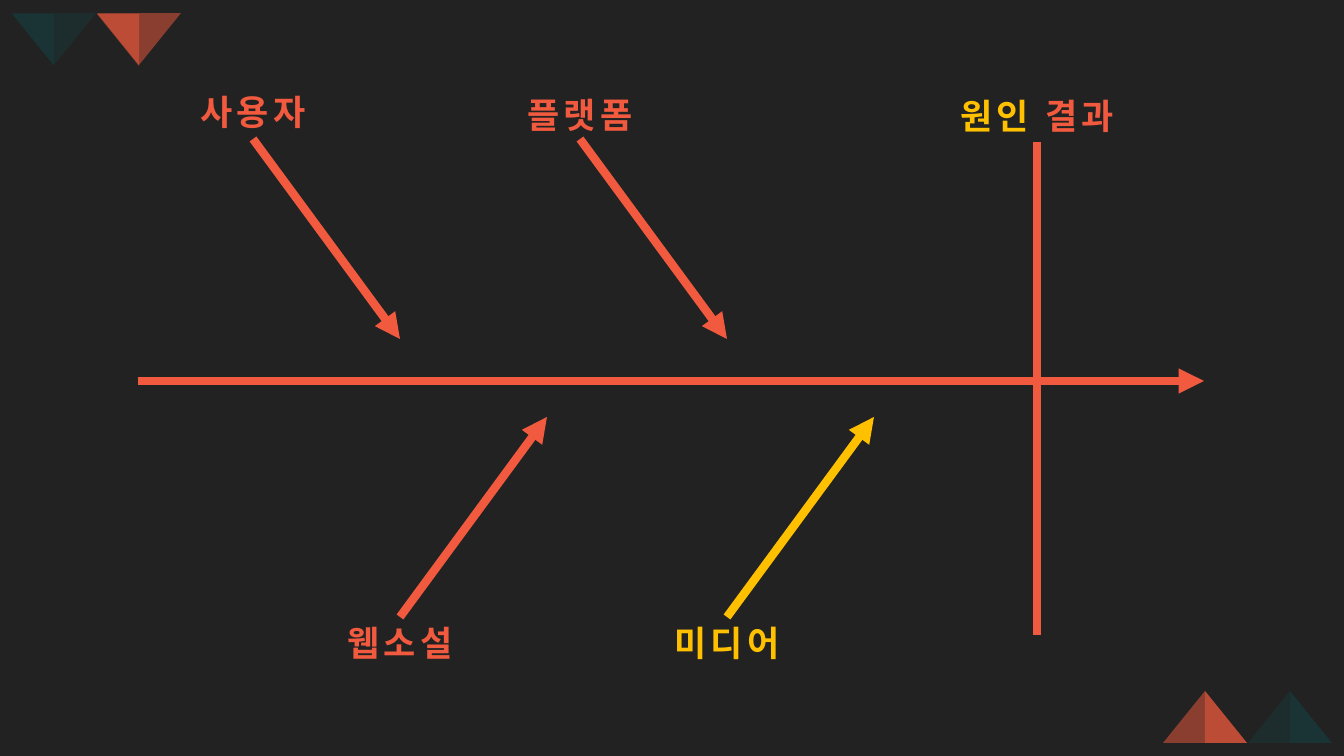
import dataclasses

import pptx
import pptx.dml.color
import pptx.enum.shapes
import pptx.enum.text
import pptx.oxml.ns
import pptx.oxml.xmlchemy
import pptx.util

SLIDE_WIDTH, SLIDE_HEIGHT = 1344, 756
EMU_PER_PX = 12192000 / SLIDE_WIDTH
SHAPES = pptx.enum.shapes.MSO_SHAPE


@dataclasses.dataclass(frozen=True)
class Theme:
    background: str = "222222"
    coral: str = "F15A3E"
    amber: str = "FFC000"
    teal: str = "193739"
    font: str = "Roboto"
    label_size: int = 25
    letter_spacing: int = 3
    line_width: int = 6


THEME = Theme()


def px(*lengths):
    return [pptx.util.Emu(round(length * EMU_PER_PX)) for length in lengths]


def rgb(code):
    return pptx.dml.color.RGBColor.from_string(code)


def add_xml(parent, tag, **attributes):
    element = pptx.oxml.xmlchemy.OxmlElement(tag)
    for name, value in attributes.items():
        element.set(name, str(value))
    parent.append(element)


def set_attributes(target, values):
    for name, value in values.items():
        setattr(target, name, value)


def add_triangle(group, kind, box, color, opacity, rotation):
    shape = group.shapes.add_shape(kind, *px(*box))
    shape.rotation = rotation
    shape.shadow.inherit = False
    shape.line.fill.background()
    shape.fill.solid()
    shape.fill.fore_color.rgb = rgb(color)
    fill_color = shape._element.spPr.find(".//" + pptx.oxml.ns.qn("a:srgbClr"))
    add_xml(fill_color, "a:alpha", val=opacity * 1000)


def add_pyramid(slide, left, top, color, shade_opacity, inverted):
    """Draw a see-through triangle with one half shaded; inverted points it down."""
    group = slide.shapes.add_group_shape()
    rotation = 180 if inverted else 0
    shade_left, shade_top = (left, top + 1) if inverted else (left + 42, top)
    add_triangle(group, SHAPES.ISOSCELES_TRIANGLE, (left, top, 84, 52), color, 50, rotation)
    add_triangle(group, SHAPES.RIGHT_TRIANGLE, (shade_left, shade_top, 42, 52),
                 color, shade_opacity, rotation)


def add_line(slide, start, end, color, arrow=True):
    connector = slide.shapes.add_connector(
        pptx.enum.shapes.MSO_CONNECTOR.STRAIGHT, *px(*start, *end))
    connector.line.width = pptx.util.Pt(THEME.line_width)
    connector.line.color.rgb = rgb(color)
    properties = connector._element.spPr
    if arrow:
        add_xml(properties.find(pptx.oxml.ns.qn("a:ln")), "a:tailEnd", type="triangle")
    add_xml(properties, "a:effectLst")


def add_label(slide, center, top, width, runs):
    box = slide.shapes.add_textbox(*px(center - width / 2, top, width, 52))
    set_attributes(box.text_frame, {
        "word_wrap": True,
        "auto_size": pptx.enum.text.MSO_AUTO_SIZE.SHAPE_TO_FIT_TEXT,
        "vertical_anchor": pptx.enum.text.MSO_ANCHOR.MIDDLE,
    })
    paragraph = box.text_frame.paragraphs[0]
    paragraph.alignment = pptx.enum.text.PP_ALIGN.CENTER
    for text, color in runs:
        run = paragraph.add_run()
        run.text = text
        set_attributes(run.font, {
            "name": THEME.font,
            "size": pptx.util.Pt(THEME.label_size),
            "bold": True,
        })
        run.font.color.rgb = rgb(color)
        run.font._element.set("spc", str(THEME.letter_spacing * 100))


def main():
    presentation = pptx.Presentation()
    presentation.slide_width, presentation.slide_height = px(SLIDE_WIDTH, SLIDE_HEIGHT)
    slide = presentation.slides.add_slide(presentation.slide_layouts.get_by_name("Blank"))
    slide.background.fill.solid()
    slide.background.fill.fore_color.rgb = rgb(THEME.background)

    for left, top, color, shade_opacity, inverted in (
        (97, 13, THEME.coral, 50, True),
        (12, 13, THEME.teal, 70, True),
        (1163, 691, THEME.coral, 50, False),
        (1248, 691, THEME.teal, 70, False),
    ):
        add_pyramid(slide, left, top, color, shade_opacity, inverted)

    add_line(slide, (138, 381), (1204, 381), THEME.coral)
    add_line(slide, (1037, 142), (1037, 635), THEME.coral, arrow=False)

    bone_width, bone_height = 147, 200
    for text, x, y, direction, label_top, color in (
        ("사용자", 253, 139, 1, 86, THEME.coral),
        ("플랫폼", 580, 139, 1, 89, THEME.coral),
        ("웹소설", 400, 617, -1, 617, THEME.coral),
        ("미디어", 727, 617, -1, 617, THEME.amber),
    ):
        add_line(slide, (x, y), (x + bone_width, y + direction * bone_height), color)
        add_label(slide, x, label_top, 172, [(text, color)])

    add_label(slide, 1037, 90, 198, [("원인", THEME.amber), (" 결과", THEME.coral)])
    presentation.save("out.pptx")


if __name__ == "__main__":
    main()
